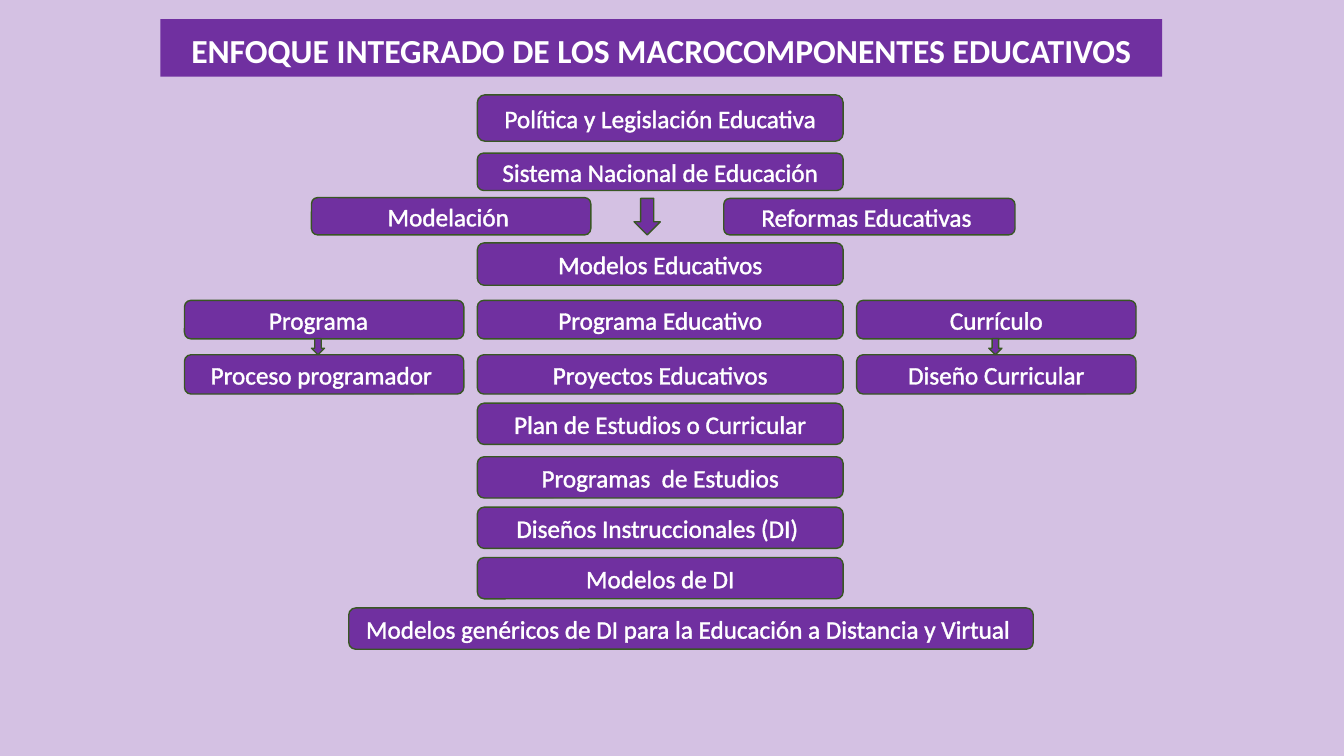
from dataclasses import dataclass

from lxml import etree
from pptx import Presentation
from pptx.dml.color import RGBColor
from pptx.enum.shapes import MSO_SHAPE
from pptx.enum.text import MSO_ANCHOR, MSO_AUTO_SIZE, PP_ALIGN
from pptx.oxml.ns import qn
from pptx.util import Cm, Pt

ROUND = MSO_SHAPE.ROUNDED_RECTANGLE
ARROW = MSO_SHAPE.DOWN_ARROW
TOP, MIDDLE = MSO_ANCHOR.TOP, MSO_ANCHOR.MIDDLE
CENTER = PP_ALIGN.CENTER
NO_FIT = MSO_AUTO_SIZE.NONE


@dataclass(frozen=True)
class Theme:
    back: str = "D4C1E3"
    fill: str = "7030A0"
    edge: str = "385723"
    ink: str = "FFFFFF"
    font: str = "Calibri"
    head: int = 24
    body: int = 18


def color(code):
    return RGBColor.from_string(code)


def write(frame, text, *, size, ink, font, bold=False, anchor=MIDDLE,
          spacing=None, after=None, outline=None):
    frame.word_wrap = True
    frame.auto_size = NO_FIT
    frame.vertical_anchor = anchor
    para = frame.paragraphs[0]
    para.alignment = CENTER
    para.line_spacing = spacing
    para.space_after = after
    run = para.add_run()
    run.text = text
    run.font.size = Pt(size)
    run.font.name = font
    run.font.bold = bold
    run.font.color.rgb = color(ink)
    if outline:
        line = etree.Element(qn("a:ln"), w=str(Pt(outline)))
        solid = etree.SubElement(line, qn("a:solidFill"))
        etree.SubElement(solid, qn("a:srgbClr"), val=ink)
        run.font._element.insert(0, line)


class Chart:
    """Draws the parts of a block diagram on one slide in one style."""

    def __init__(self, slide, theme):
        self.slide = slide
        self.theme = theme
        ground = slide.background.fill
        ground.solid()
        ground.fore_color.rgb = color(theme.back)

    def title(self, text, x, y, w, h):
        theme = self.theme
        shape = self.slide.shapes.title
        shape.left, shape.top = Cm(x), Cm(y)
        shape.width, shape.height = Cm(w), Cm(h)
        shape.fill.solid()
        shape.fill.fore_color.rgb = color(theme.fill)
        write(shape.text_frame, text, size=theme.head, ink=theme.ink,
              font=theme.font, bold=True, anchor=TOP, spacing=1.15,
              after=Pt(10))

    def shape(self, kind, x, y, w, h):
        shape = self.slide.shapes.add_shape(kind, Cm(x), Cm(y), Cm(w), Cm(h))
        shape.shadow.inherit = False
        shape.fill.solid()
        shape.fill.fore_color.rgb = color(self.theme.fill)
        shape.line.color.rgb = color(self.theme.edge)
        shape.line.width = Pt(1)
        return shape

    def box(self, text, x, y, w, h):
        theme = self.theme
        frame = self.shape(ROUND, x, y, w, h).text_frame
        write(frame, text, size=theme.body, ink=theme.ink, font=theme.font,
              outline=0.75)

    def arrow(self, x, y, w, h):
        self.shape(ARROW, x, y, w, h)


def main():
    deck = Presentation()
    deck.slide_width, deck.slide_height = Cm(33.87), Cm(19.05)
    chart = Chart(deck.slides.add_slide(deck.slide_layouts[5]), Theme())
    chart.title("ENFOQUE INTEGRADO DE LOS MACROCOMPONENTES EDUCATIVOS",
                4.04, 0.48, 25.25, 1.45)

    left, mid, right = 4.65, 12.03, 21.59
    side, wide = 7.04, 9.22

    stack = [
        ("Política y Legislación Educativa", 2.39, 1.17),
        ("Sistema Nacional de Educación", 3.86, 0.94),
        ("Modelos Educativos", 6.12, 1.07),
        ("Plan de Estudios o Curricular", 10.16, 1.04),
    ]
    for text, y, h in stack:
        chart.box(text, mid, y, wide, h)

    chart.box("Modelación ", 7.85, 4.98, side, 0.94)
    chart.box("Reformas Educativas ", 18.24, 5, 7.34, 0.92)
    chart.arrow(15.98, 5, 0.66, 0.92)

    rows = [
        (7.57, 0.97, ["Programa  ", "Programa Educativo", "Currículo"]),
        (8.94, 0.99, ["Proceso programador ", "Proyectos Educativos",
                      "Diseño Curricular"]),
    ]
    columns = [(left, side), (mid, wide), (right, side)]
    for y, h, texts in rows:
        for text, (x, w) in zip(texts, columns):
            chart.box(text, x, y, w, h)
    for x in (7.85, 24.92):
        chart.arrow(x, 8.53, 0.33, 0.41)

    base, step, tall = 11.51, 1.27, 1.04
    levels = [
        ("Programas  de Estudios", mid, wide),
        ("Diseños Instruccionales (DI) ", mid, wide),
        ("Modelos de DI", mid, wide),
        ("Modelos genéricos de DI para la Educación a Distancia y Virtual ",
         8.79, 17.25),
    ]
    for i, (text, x, w) in enumerate(levels):
        chart.box(text, x, base + i * step, w, tall)

    deck.save("out.pptx")


if __name__ == "__main__":
    main()
